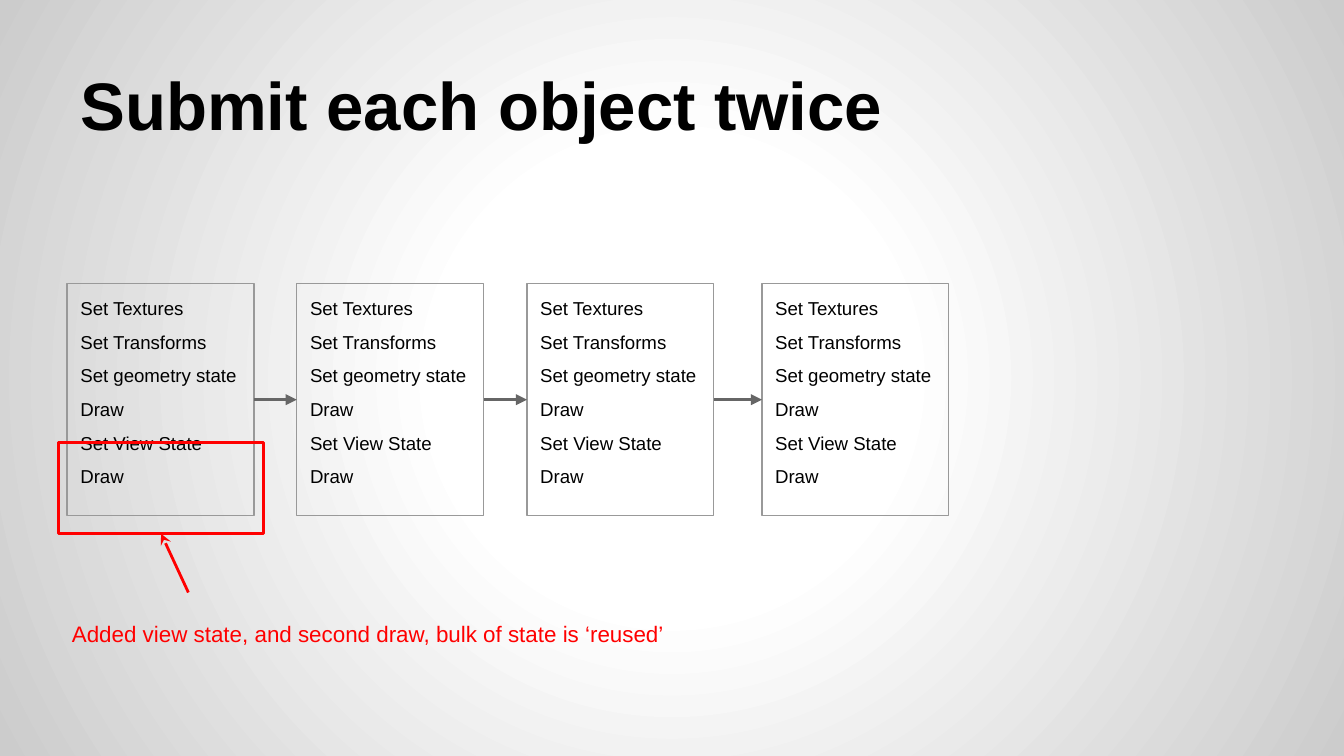
from dataclasses import dataclass

from lxml import etree
from pptx import Presentation
from pptx.dml.color import RGBColor
from pptx.enum.shapes import MSO_CONNECTOR, MSO_SHAPE
from pptx.enum.text import MSO_ANCHOR, PP_ALIGN
from pptx.oxml import parse_xml
from pptx.oxml.ns import nsdecls, qn
from pptx.util import Cm, Pt

RECTANGLE = MSO_SHAPE.RECTANGLE
STRAIGHT = MSO_CONNECTOR.STRAIGHT
TOP, BOTTOM = MSO_ANCHOR.TOP, MSO_ANCHOR.BOTTOM
LEFT = PP_ALIGN.LEFT
LEFT_SITE, BOTTOM_SITE, RIGHT_SITE = 1, 2, 3

# Content
TITLE = "Submit each object twice"
STEPS = ["Set Textures", "Set Transforms", "Set geometry state",
         "Draw", "Set View State", "Draw"]
NOTE = "Added view state, and second draw, bulk of state is ‘reused’"

# Layout in centimetres
STEP_LEFTS = [1.27, 5.61, 9.96, 14.4]
STEP_TOP, STEP_WIDTH, STEP_HEIGHT = 5.36, 3.53, 4.39
TITLE_AREA = (1.27, 0.58, 22.86, 2.39)
HIGHLIGHT_AREA = (1.11, 8.36, 3.87, 1.73)
NOTE_AREA = (1.11, 11.48, 11.89, 0.97)
CALLOUT_START = (3.56, 11.2)


@dataclass(frozen=True)
class Theme:
    font: str = "Arial"
    text: str = "000000"
    border: str = "999999"
    arrow: str = "666666"
    accent: str = "FF0000"
    gradient: tuple = ((0, "FFFFFF"), (30, "FFFFFF"), (100, "CCCCCC"))
    title_size: float = 36
    step_size: float = 10
    note_size: float = 12
    border_width: float = 0.75
    accent_width: float = 1.5


THEME = Theme()


def set_background(page):
    stops = "".join(
        f'<a:gs pos="{percent * 1000}"><a:srgbClr val="{color}"/></a:gs>'
        for percent, color in THEME.gradient)
    background = parse_xml(
        f'<p:bg {nsdecls("p", "a")}><p:bgPr><a:gradFill><a:gsLst>{stops}</a:gsLst>'
        '<a:path path="circle"><a:fillToRect l="50000" t="50000" r="50000" b="50000"/>'
        '</a:path></a:gradFill><a:effectLst/></p:bgPr></p:bg>')
    page.element.cSld.insert(0, background)


def write_text(box, lines, size, color=THEME.text, bold=False, anchor=TOP, before=0):
    frame = box.text_frame
    frame.word_wrap = True
    frame.vertical_anchor = anchor
    frame.margin_left = frame.margin_right = Cm(0.25)
    frame.margin_top = frame.margin_bottom = Cm(0.25)
    for index, line in enumerate(lines):
        para = frame.add_paragraph() if index else frame.paragraphs[0]
        para.alignment = LEFT
        para.space_before = Pt(before)
        span = para.add_run()
        span.text = line
        span.font.name = THEME.font
        span.font.size = Pt(size)
        span.font.bold = bold
        span.font.color.rgb = RGBColor.from_string(color)


def add_text(page, area, text, **style):
    box = page.shapes.add_textbox(*map(Cm, area))
    write_text(box, [text], **style)


def style_line(line, color, width):
    line.color.rgb = RGBColor.from_string(color)
    line.width = Pt(width)


def add_outline(page, area, color, width):
    box = page.shapes.add_shape(RECTANGLE, *map(Cm, area))
    box.shadow.inherit = False
    box.fill.background()
    style_line(box.line, color, width)
    return box


def add_arrow(page, target, site, color, head, source=None, start=(0, 0)):
    x, y = map(Cm, start)
    arrow = page.shapes.add_connector(STRAIGHT, x, y, x, y)
    if source is not None:
        arrow.begin_connect(source, RIGHT_SITE)
    arrow.end_connect(target, site)
    style_line(arrow.line, color, THEME.accent_width)
    etree.SubElement(arrow.line._get_or_add_ln(), qn("a:tailEnd"), type=head)
    etree.SubElement(arrow._element.spPr, qn("a:effectLst"))


def main():
    deck = Presentation()
    deck.slide_width, deck.slide_height = Cm(25.4), Cm(14.29)
    page = deck.slides.add_slide(deck.slide_layouts[6])
    set_background(page)

    # Title
    add_text(page, TITLE_AREA, TITLE, size=THEME.title_size, bold=True, anchor=BOTTOM)

    # One box of steps per object
    boxes = []
    for left in STEP_LEFTS:
        box = add_outline(page, (left, STEP_TOP, STEP_WIDTH, STEP_HEIGHT),
                          THEME.border, THEME.border_width)
        write_text(box, STEPS, size=THEME.step_size, before=6)
        boxes.append(box)

    # Arrows from each box to the next
    for source, target in zip(boxes, boxes[1:]):
        add_arrow(page, target, LEFT_SITE, THEME.arrow, "triangle", source=source)

    # Highlight and its note
    highlight = add_outline(page, HIGHLIGHT_AREA, THEME.accent, THEME.accent_width)
    add_text(page, NOTE_AREA, NOTE, size=THEME.note_size, color=THEME.accent)
    add_arrow(page, highlight, BOTTOM_SITE, THEME.accent, "stealth", start=CALLOUT_START)

    deck.save("out.pptx")


if __name__ == "__main__":
    main()
